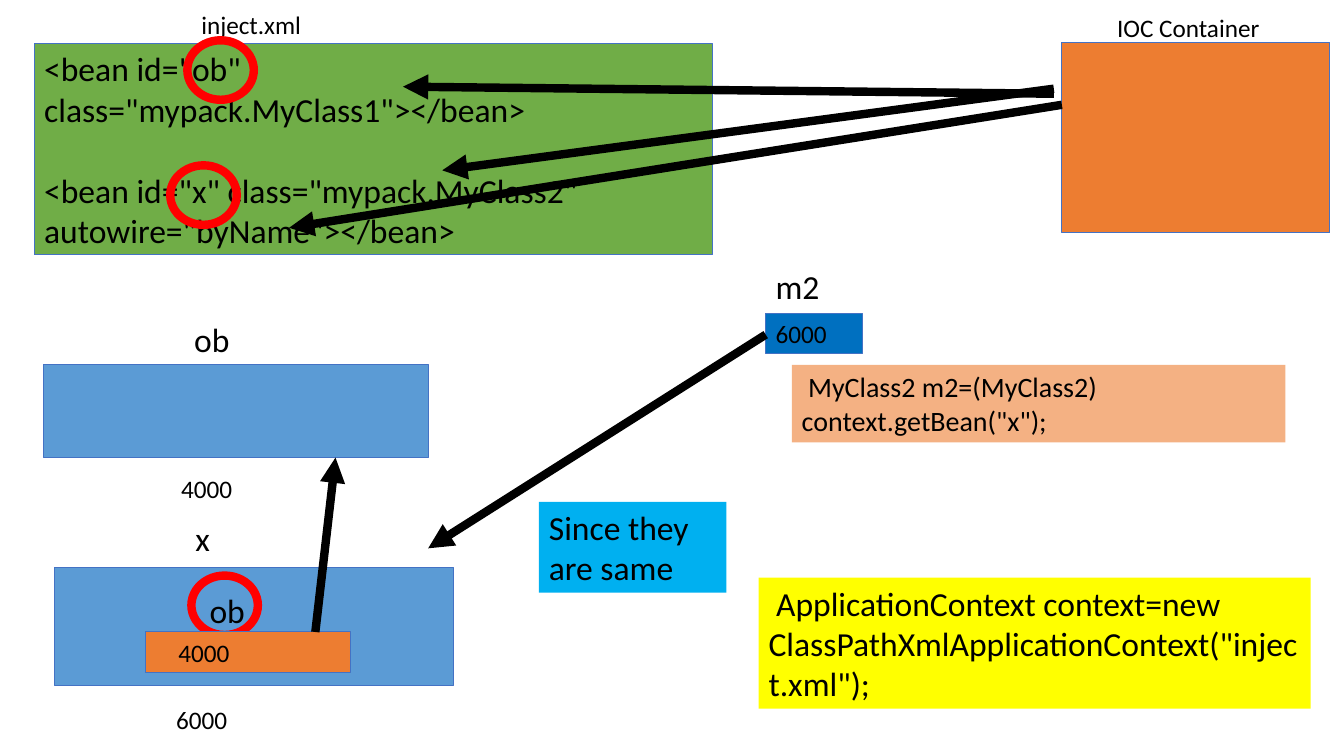
import pptx
import pptx.dml.color
import pptx.enum.shapes
import pptx.enum.text
import pptx.oxml
import pptx.oxml.ns
import pptx.util

Inches = pptx.util.Inches
Pt = pptx.util.Pt
Shapes = pptx.enum.shapes.MSO_SHAPE

deck = pptx.Presentation()
deck.slide_width = Inches(13.34)
deck.slide_height = Inches(7.5)
page = deck.slides.add_slide(deck.slide_layouts[6])


def color(code):
    return pptx.dml.color.RGBColor.from_string(code)


def add_box(place, fill=None, outline=None, lines=(), size=24, indent=0):
    """Add a filled rectangle, or a plain text box when there is no fill."""
    place = [Inches(value) for value in place]
    if fill:
        box = page.shapes.add_shape(Shapes.RECTANGLE, *place)
        box.shadow.inherit = False
        box.fill.solid()
        box.fill.fore_color.rgb = color(fill)
        if outline:
            box.line.color.rgb = color(outline)
            box.line.width = Pt(0.74)
        else:
            box.line.fill.background()
    else:
        box = page.shapes.add_textbox(*place)
    frame = box.text_frame
    frame.word_wrap = True
    frame.vertical_anchor = pptx.enum.text.MSO_ANCHOR.TOP
    frame.margin_left = Inches(0.1 + indent)
    for index, line in enumerate(lines):
        para = frame.add_paragraph() if index else frame.paragraphs[0]
        para.alignment = pptx.enum.text.PP_ALIGN.LEFT
        if index:
            para.space_before = Pt(size * 1.22)  # one line of space
        span = para.add_run()
        span.text = line
        span.font.name = "Calibri"
        span.font.size = Pt(size)
        span.font.color.rgb = color("000000")


BORDER = "4472C4"
BEANS = [
    '<bean id="ob" class="mypack.MyClass1"></bean>',
    '<bean id="x" class="mypack.MyClass2" autowire="byName"></bean>',
]

# Configuration file, container and objects in memory
add_box((0.54, 5.63, 3.96, 1.17), "5B9BD5", BORDER)
add_box((0.34, 0.43, 6.73, 2.1), "70AD47", BORDER, BEANS)
add_box((10.54, 0.42, 2.66, 1.89), "ED7D31", BORDER)
add_box((0.43, 3.62, 3.82, 0.92), "5B9BD5", BORDER)
add_box((7.6, 3.11, 0.96, 0.4), "0070C0", BORDER, ["6000"], 18)

# Code and remark
add_box((7.53, 5.73, 5.48, 1.3), "FFFF00", lines=[
    ' ApplicationContext context=new ClassPathXmlApplicationContext("inject.xml");'])
add_box((7.86, 3.62, 4.9, 0.77), "F4B183", lines=[
    ' MyClass2 m2=(MyClass2) context.getBean("x");'], size=20)
add_box((5.35, 4.98, 1.86, 0.9), "00B0F0", lines=["Since they are same"])

# Labels: text, left, top, width, size
labels = [
    ("inject.xml", 1.9, 0.04, 1.77, 18),
    ("IOC Container", 10.99, 0.07, 1.77, 18),
    ("4000", 1.7, 4.65, 0.76, 18),
    ("6000", 1.65, 6.94, 0.76, 18),
    ("ob", 1.83, 3.11, 0.74, 24),
    ("x", 1.84, 5.09, 0.73, 24),
    ("m2", 7.6, 2.59, 0.96, 24),
]
for text, left, top, width, size in labels:
    add_box((left, top, width, 0.4 if size == 18 else 0.5), lines=[text], size=size)

# Red circles around the matching names
for left, top in [(1.86, 0.4), (1.69, 1.64), (1.9, 5.71)]:
    circle = page.shapes.add_shape(
        Shapes.OVAL, Inches(left), Inches(top), Inches(0.66), Inches(0.59))
    circle.shadow.inherit = False
    circle.fill.background()
    circle.line.color.rgb = color("FF0000")
    circle.line.width = Pt(6)

# Field ob inside object x
add_box((1.44, 6.27, 2.04, 0.4), "ED7D31", BORDER, ["4000"], 18, indent=0.23)
add_box((1.68, 5.8, 1.1, 0.5), lines=["ob"], indent=0.3)

# Arrows: start and end
arrows = [
    ((7.6, 3.32), (4.25, 5.44)),
    ((10.46, 0.93), (4, 0.86)),
    ((10.46, 0.88), (4.39, 1.69)),
    ((10.54, 1.04), (2.87, 2.26)),
    ((3.13, 6.27), (3.33, 4.54)),
]
for start, end in arrows:
    arrow = page.shapes.add_connector(
        pptx.enum.shapes.MSO_CONNECTOR.STRAIGHT,
        *[Inches(value) for value in start + end])
    arrow.line.color.rgb = color("000000")
    arrow.line.width = Pt(6)
    head = pptx.oxml.parse_xml(
        '<a:tailEnd %s type="triangle"/>' % pptx.oxml.ns.nsdecls("a"))
    arrow.line._get_or_add_ln().append(head)
    properties = arrow._element.spPr
    properties.append(pptx.oxml.parse_xml(
        "<a:effectLst %s/>" % pptx.oxml.ns.nsdecls("a")))

deck.save("out.pptx")
